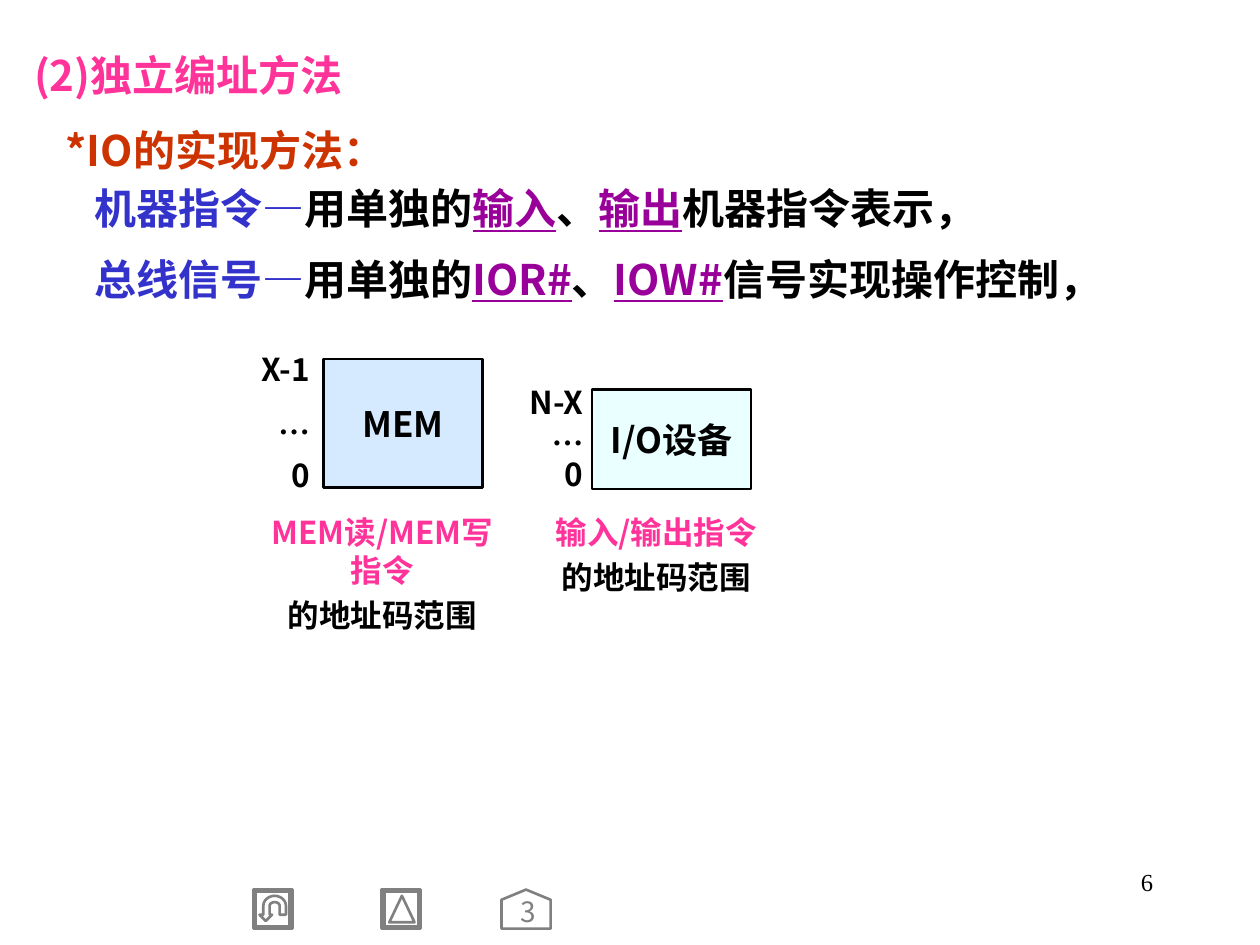
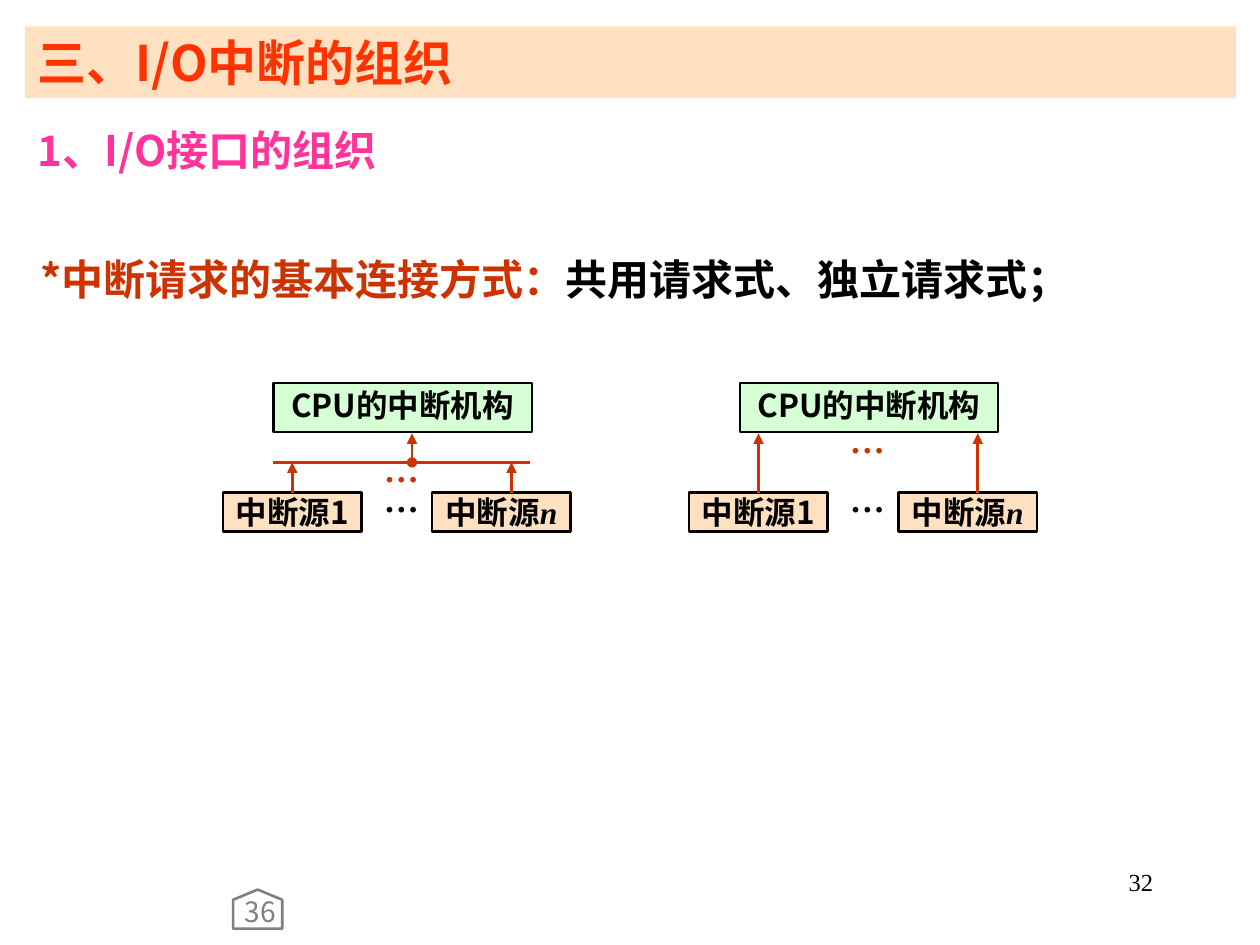
import math

import pptx
import pptx.dml.color
import pptx.enum.shapes
import pptx.enum.text
import pptx.oxml
import pptx.oxml.ns
import pptx.util
from lxml import etree

Inches = pptx.util.Inches
Pt = pptx.util.Pt
RGBColor = pptx.dml.color.RGBColor
qn = pptx.oxml.ns.qn
SHAPE = pptx.enum.shapes.MSO_SHAPE
ANCHOR = pptx.enum.text.MSO_ANCHOR
ALIGN = pptx.enum.text.PP_ALIGN

SANS = "Noto Sans CJK SC"
SERIF = "Times New Roman"

BLACK = RGBColor(0x00, 0x00, 0x00)
GRAY = RGBColor(0x80, 0x80, 0x80)
PINK = RGBColor(0xFF, 0x33, 0x99)
RUST = RGBColor(0xCC, 0x33, 0x00)
SCARLET = RGBColor(0xFF, 0x33, 0x00)
BLUE = RGBColor(0x33, 0x33, 0xCC)
PURPLE = RGBColor(0x99, 0x00, 0x99)
MEMORY_BLUE = RGBColor(0x99, 0xCC, 0xFF)
DEVICE_CYAN = RGBColor(0xCC, 0xFF, 0xFF)
CPU_GREEN = RGBColor(0xCC, 0xFF, 0xCC)
PEACH = RGBColor(0xFF, 0xCC, 0x99)

WIDE_INSETS = (0.1, 0.05, 0.1, 0.05)
TIGHT_INSETS = (0.02, 0.01, 0.02, 0.01)
KEYWORD = {"color": PURPLE, "underline": True}
TERM = {"color": BLUE}


def line(*runs, **options):
    return runs, options


def format_run(run, size=18, color=BLACK, face=SANS, bold=True, italic=None, underline=None):
    font = run.font
    font.size, font.bold, font.italic, font.underline = Pt(size), bold, italic, underline
    font.color.rgb = color
    font.name = face
    etree.SubElement(run._r.get_or_add_rPr(), qn("a:ea")).set("typeface", face)


def write_text(frame, *lines, insets=TIGHT_INSETS, anchor=ANCHOR.TOP, **shared):
    frame.word_wrap = True
    frame.auto_size = pptx.enum.text.MSO_AUTO_SIZE.NONE
    frame.vertical_anchor = anchor
    (frame.margin_left, frame.margin_top,
     frame.margin_right, frame.margin_bottom) = map(Inches, insets)
    for index, (runs, options) in enumerate(lines):
        paragraph = frame.add_paragraph() if index else frame.paragraphs[0]
        style = {**shared, **options}
        properties = paragraph._p.get_or_add_pPr()
        properties.set("marL", str(Inches(style.pop("indent", 0))))
        properties.set("indent", "0")
        etree.SubElement(properties, qn("a:buNone"))
        paragraph.alignment = style.pop("align", ALIGN.LEFT)
        paragraph.line_spacing = style.pop("spacing", 1.0)
        paragraph.space_before = Pt(0)
        for part in runs:
            text, special = (part, {}) if isinstance(part, str) else part
            run = paragraph.add_run()
            run.text = text
            format_run(run, **{**style, **special})


def place(shape, left, top, width, height):
    shape.left, shape.top, shape.width, shape.height = map(Inches, (left, top, width, height))


def add_label(slide, bounds, *lines, **style):
    label = slide.shapes.add_textbox(*map(Inches, bounds))
    write_text(label.text_frame, *lines, **style)


def fill_translucent(shape, color, opacity):
    shape.fill.solid()
    shape.fill.fore_color.rgb = color
    swatch = shape._element.spPr.find(qn("a:solidFill"))[0]
    etree.SubElement(swatch, qn("a:alpha")).set("val", str(opacity * 1000))


def add_block(slide, bounds, color, opacity, *lines, border=1.5, **style):
    block = slide.shapes.add_shape(SHAPE.RECTANGLE, *map(Inches, bounds))
    block.shadow.inherit = False
    fill_translucent(block, color, opacity)
    block.line.color.rgb = BLACK
    block.line.width = Pt(border)
    write_text(block.text_frame, *lines, anchor=ANCHOR.MIDDLE, align=ALIGN.CENTER, **style)


def add_wire(slide, start, end, width=1.5, head=None, tail=None):
    wire = slide.shapes.add_connector(
        pptx.enum.shapes.MSO_CONNECTOR.STRAIGHT, *map(Inches, (*start, *end)))
    wire.line.color.rgb = RUST
    wire.line.width = Pt(width)
    stroke = wire.line._get_or_add_ln()
    for tag, kind in (("a:headEnd", head), ("a:tailEnd", tail)):
        if kind:
            etree.SubElement(stroke, qn(tag)).set("type", kind)
    etree.SubElement(wire._element.spPr, qn("a:effectLst"))


def outline_gray(shape):
    shape.shadow.inherit = False
    shape.fill.background()
    shape.line.color.rgb = GRAY
    shape.line.width = Pt(1.5)


def add_framed_button(slide, left, top, glyph):
    side, bevel = 0.31, 0.02
    outer = [(0, 0), (side, 0), (side, side), (0, side)]
    inner = [(abs(x - bevel), abs(y - bevel)) for x, y in outer]
    contours = [(outer, True), (inner, True), (glyph, True)]
    contours += [(corner, False) for corner in zip(outer, inner)]
    builder = slide.shapes.build_freeform(Inches(left), Inches(top))
    for points, closed in contours:
        first, *rest = [(Inches(left + x), Inches(top + y)) for x, y in points]
        builder.move_to(*first)
        builder.add_line_segments(rest, close=closed)
    outline_gray(builder.convert_to_shape())


def arch(radius_x, radius_y, steps=12):
    return [(0.17 - radius_x * math.cos(math.pi * step / steps),
             0.13 - radius_y * math.sin(math.pi * step / steps))
            for step in range(steps + 1)]


def return_glyph():
    return (arch(0.09, 0.08) + [(0.26, 0.2), (0.21, 0.2)] + arch(0.04, 0.03)[::-1]
            + [(0.13, 0.2), (0.15, 0.2), (0.1, 0.25), (0.05, 0.2), (0.08, 0.2)])


def add_home_button(slide, left, target):
    home = slide.shapes.add_shape(SHAPE.PENTAGON, *map(Inches, (left, 7.02, 0.31, 0.39)))
    home.rotation = 270
    home.adjustments[0] = 0.26
    outline_gray(home)
    add_label(slide, (left, 7.14, 0.31, 0.24), line(target), insets=(0.04, 0, 0, 0),
              size=16, color=GRAY, bold=False, align=ALIGN.CENTER, spacing=0.85)


def add_page(deck, number, title, title_bounds, title_style, body_bounds, *body_lines):
    slide = deck.slides.add_slide(deck.slide_layouts[1])
    heading, body = slide.placeholders
    place(heading, *title_bounds)
    write_text(heading.text_frame, line(title), insets=WIDE_INSETS, **title_style)
    place(body, *body_bounds)
    write_text(body.text_frame, *body_lines, insets=WIDE_INSETS, size=24, spacing=1.25)
    add_label(slide, (7.17, 6.83, 2.08, 0.5), line(str(number)), insets=WIDE_INSETS,
              size=14, face=SERIF, bold=False, align=ALIGN.RIGHT)
    return slide


def add_address_space(slide, left, top, height, name, color, scale_bounds, scale):
    add_label(slide, scale_bounds, *scale, align=ALIGN.RIGHT)
    add_block(slide, (left, top, 1.26, height), color, 40, line(name), size=20)


def add_range_caption(slide, left, width, instructions):
    add_label(slide, (left, 4.06, width, 0.63), line(instructions, color=PINK),
              line("的地址码范围", spacing=1.2), align=ALIGN.CENTER)


def build_addressing(deck):
    slide = add_page(
        deck, 6, "(2)独立编址方法", (0.17, 0.24, 9.64, 0.6),
        {"size": 24, "color": PINK, "spacing": 1.25}, (0.2, 0.84, 9.64, 1.06),
        line("*IO的实现方法：", color=RUST, indent=0.22),
        line(("机器指令—", TERM), "用单独的", ("输入", KEYWORD), "、", ("输出", KEYWORD),
             "机器指令表示，", indent=0.45, spacing=1.15))
    add_label(slide, (0.2, 1.86, 9.64, 0.6),
              line(("总线信号—", TERM), "用单独的", ("IOR#", KEYWORD), "、",
                   ("IOW#", KEYWORD), "信号实现操作控制，"),
              insets=WIDE_INSETS, size=24, indent=0.45, spacing=1.25)
    add_address_space(slide, 2.57, 2.85, 1.02, "MEM", MEMORY_BLUE, (2.02, 2.8, 0.46, 1.07),
                      (line("X-1", spacing=0.9), line("…", face=SERIF, spacing=1.4),
                       line("0", spacing=1.4)))
    add_address_space(slide, 4.7, 3.09, 0.79, "I/O设备", DEVICE_CYAN, (4.15, 3.09, 0.5, 0.79),
                      (line("N-X", spacing=0.8), line("…", face=SERIF, spacing=0.8),
                       line("0", spacing=1.1)))
    add_range_caption(slide, 2.02, 2.03, "MEM读/MEM写指令")
    add_range_caption(slide, 4.31, 1.8, "输入/输出指令")
    add_framed_button(slide, 2.01, 7.06, return_glyph())
    add_framed_button(slide, 3.03, 7.06, [(0.16, 0.05), (0.26, 0.26), (0.06, 0.26)])
    add_home_button(slide, 4.02, "3")


def add_request_scheme(slide, left, shared_line):
    cpu_bottom, bus, source_top = 3.44, 3.67, 3.91
    add_block(slide, (left + 0.4, 3.04, 2.05, 0.39), CPU_GREEN, 80, line("CPU的中断机构"),
              border=1.25, spacing=0.9)
    if shared_line:
        add_wire(slide, (left + 1.5, bus), (left + 1.5, cpu_bottom), 1.25, "oval", "triangle")
        add_wire(slide, (left + 0.4, bus), (left + 2.44, bus))
    sources = ((0, 0.55, "1"), (1.66, 2.29, ("n", {"face": SERIF, "italic": True})))
    for offset, request, index in sources:
        add_block(slide, (left + offset, source_top, 1.1, 0.31), PEACH, 60,
                  line("中断源", index))
        add_wire(slide, (left + request, source_top),
                 (left + request, bus if shared_line else cpu_bottom), tail="triangle")
    for top, color in ((3.83, BLACK), (3.59 if shared_line else 3.36, RUST)):
        add_label(slide, (left + 1.18, top, 0.47, 0.32), line("…"), anchor=ANCHOR.MIDDLE,
                  size=20, face=SERIF, color=color, align=ALIGN.CENTER, spacing=0.8)


def build_interrupts(deck):
    slide = add_page(
        deck, 32, "三、I/O中断的组织", (0.2, 0.21, 9.61, 0.57),
        {"size": 28, "color": SCARLET}, (0.2, 0.84, 9.61, 1.1),
        line("1、I/O接口的组织", color=PINK))
    fill_translucent(slide.shapes.title, PEACH, 60)
    add_label(slide, (0, 1.86, 9.61, 0.6),
              line(("*中断请求的基本连接方式：", {"color": RUST}), "共用请求式、独立请求式；"),
              insets=WIDE_INSETS, size=24, indent=0.22, spacing=1.25)
    add_request_scheme(slide, 1.77, shared_line=True)
    add_request_scheme(slide, 5.47, shared_line=False)
    add_home_button(slide, 1.89, "36")


def main():
    deck = pptx.Presentation()
    deck.slide_width, deck.slide_height = Inches(10), Inches(7.5)
    build_addressing(deck)
    build_interrupts(deck)
    deck.save("out.pptx")


if __name__ == "__main__":
    main()
